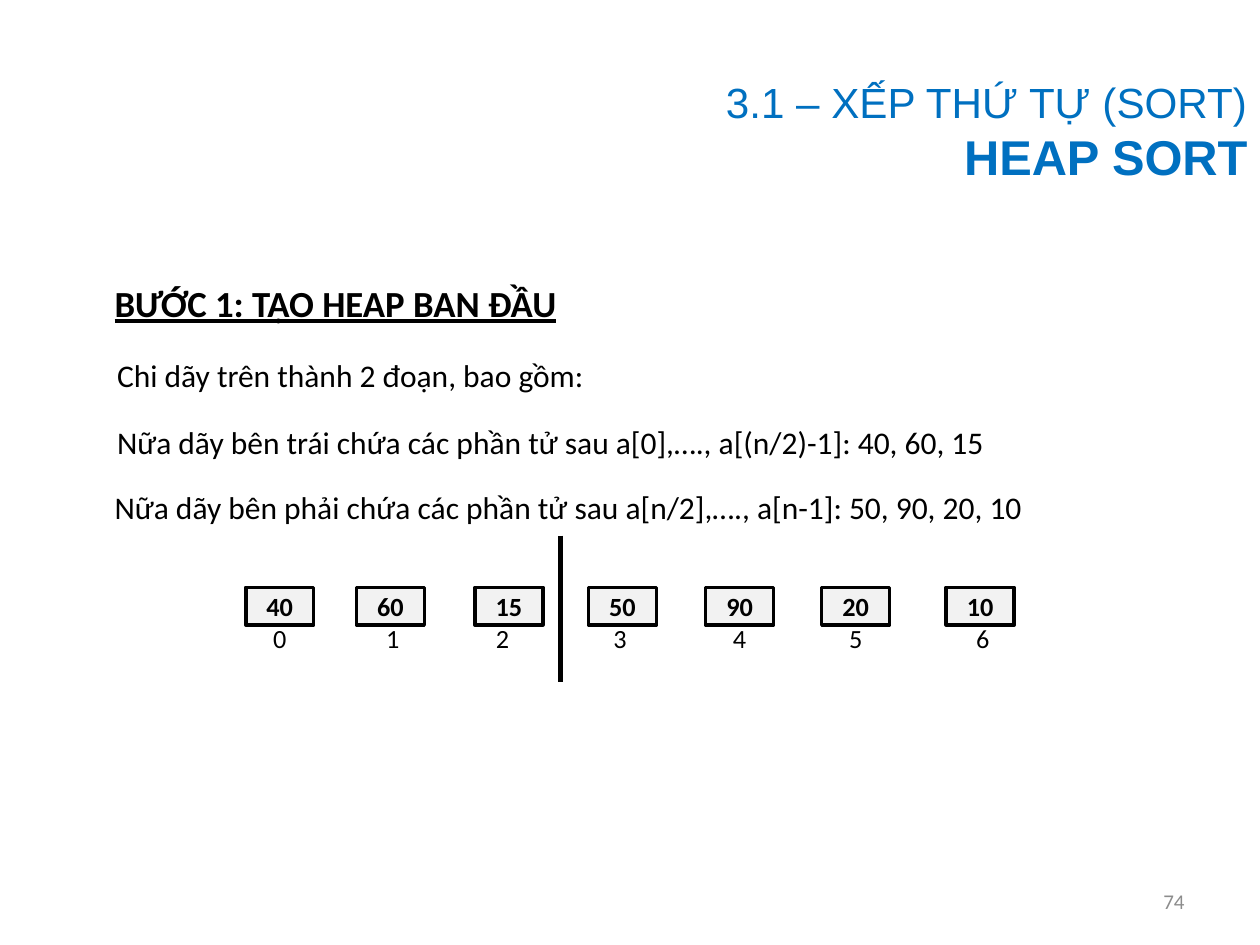
from dataclasses import dataclass
from typing import NamedTuple

from lxml.etree import SubElement
from pptx import Presentation
from pptx.dml.color import RGBColor
from pptx.enum.shapes import MSO_CONNECTOR, MSO_SHAPE
from pptx.enum.text import MSO_ANCHOR, PP_ALIGN
from pptx.oxml.ns import qn
from pptx.util import Cm, Pt


@dataclass(frozen=True)
class Theme:
    ink: RGBColor = RGBColor(0x00, 0x00, 0x00)
    blue: RGBColor = RGBColor(0x00, 0x70, 0xC0)
    pale: RGBColor = RGBColor(0xF2, 0xF2, 0xF2)
    gray: RGBColor = RGBColor(0x8C, 0x8C, 0x8C)
    body: str = "Calibri"
    head: str = "Arial"
    topic: float = 24.1
    title: float = 27.9
    step: float = 21
    text: float = 18
    item: float = 15
    page: float = 12


class Box(NamedTuple):
    left: float
    top: float
    width: float
    height: float


class Item(NamedTuple):
    value: int
    mid: float
    label: float  # centre of the index below the cell


class Note(NamedTuple):
    text: str
    box: Box


THEME = Theme()
CELL_TOP, CELL_W, CELL_H = 11.84, 1.37, 0.76
LABEL_TOP, LABEL_W, LABEL_H = 12.65, 2.34, 0.43
ITEMS = [
    Item(40, 5.64, 5.64),
    Item(60, 7.87, 7.92),
    Item(15, 10.26, 10.13),
    Item(50, 12.55, 12.5),
    Item(90, 14.91, 14.91),
    Item(20, 17.25, 17.25),
    Item(10, 19.76, 19.81),
]
NOTES = [
    Note("Chi dãy trên thành 2 đoạn, bao gồm:", Box(2.11, 6.99, 14.35, 1.14)),
    Note("Nữa dãy bên trái chứa các phần tử sau a[0],…., a[(n/2)-1]: 40, 60, 15",
         Box(2.11, 8.46, 18.54, 0.89)),
    Note("Nữa dãy bên phải chứa các phần tử sau a[n/2],…., a[n-1]: 50, 90, 20, 10",
         Box(2.06, 9.78, 20.07, 0.89)),
]


def write(frame, text: str, *, size: float, font: str = THEME.body,
          color: RGBColor = THEME.ink, bold: bool = False,
          under: bool = False, align=PP_ALIGN.LEFT, more: bool = False) -> None:
    """Fill the first paragraph, or append one when more is set."""
    frame.word_wrap = True
    frame.vertical_anchor = MSO_ANCHOR.MIDDLE
    para = frame.add_paragraph() if more else frame.paragraphs[0]
    para.alignment = align
    run = para.add_run()
    run.text = text
    run.font.name = font
    run.font.size = Pt(size)
    run.font.bold = bold
    run.font.underline = under
    run.font.color.rgb = color


def add_text(slide, box: Box):
    return slide.shapes.add_textbox(*map(Cm, box)).text_frame


def draw_item(slide, index: int, item: Item) -> None:
    box = Box(item.mid - CELL_W / 2, CELL_TOP, CELL_W, CELL_H)
    cell = slide.shapes.add_shape(MSO_SHAPE.RECTANGLE, *map(Cm, box))
    cell.shadow.inherit = False
    cell.fill.solid()
    cell.fill.fore_color.rgb = THEME.pale
    cell.line.color.rgb = THEME.ink
    cell.line.width = Pt(2)
    write(cell.text_frame, str(item.value), size=THEME.item, bold=True,
          align=PP_ALIGN.CENTER)
    label = Box(item.label - LABEL_W / 2, LABEL_TOP, LABEL_W, LABEL_H)
    write(add_text(slide, label), str(index), size=THEME.item,
          align=PP_ALIGN.CENTER)


def draw_split(slide, x: float, top: float, end: float) -> None:
    """Draw the bar between the left and right halves."""
    bar = slide.shapes.add_connector(MSO_CONNECTOR.STRAIGHT,
                                     Cm(x), Cm(top), Cm(x), Cm(end))
    bar.line.color.rgb = THEME.ink
    bar.line.width = Pt(3)
    SubElement(bar._element.spPr, qn("a:effectLst"))


def main() -> None:
    deck = Presentation()
    deck.slide_width, deck.slide_height = Cm(25.4), Cm(19.05)
    slide = deck.slides.add_slide(deck.slide_layouts[6])

    head = add_text(slide, Box(0, 1.27, 25.4, 2.74))
    write(head, "3.1 – XẾP THỨ TỰ (SORT)", size=THEME.topic, font=THEME.head,
          color=THEME.blue, align=PP_ALIGN.RIGHT)
    write(head, "HEAP SORT", size=THEME.title, font=THEME.head,
          color=THEME.blue, bold=True, align=PP_ALIGN.RIGHT, more=True)

    write(add_text(slide, Box(2.06, 5.59, 11.33, 1.02)),
          "BƯỚC 1: TẠO HEAP BAN ĐẦU", size=THEME.step, bold=True, under=True)
    for note in NOTES:
        write(add_text(slide, note.box), note.text, size=THEME.text)
    for index, item in enumerate(ITEMS):
        draw_item(slide, index, item)
    draw_split(slide, 11.3, 10.8, 13.74)
    write(add_text(slide, Box(18.21, 17.65, 5.92, 1.02)), "74",
          size=THEME.page, color=THEME.gray, align=PP_ALIGN.RIGHT)

    deck.save("out.pptx")


if __name__ == "__main__":
    main()
